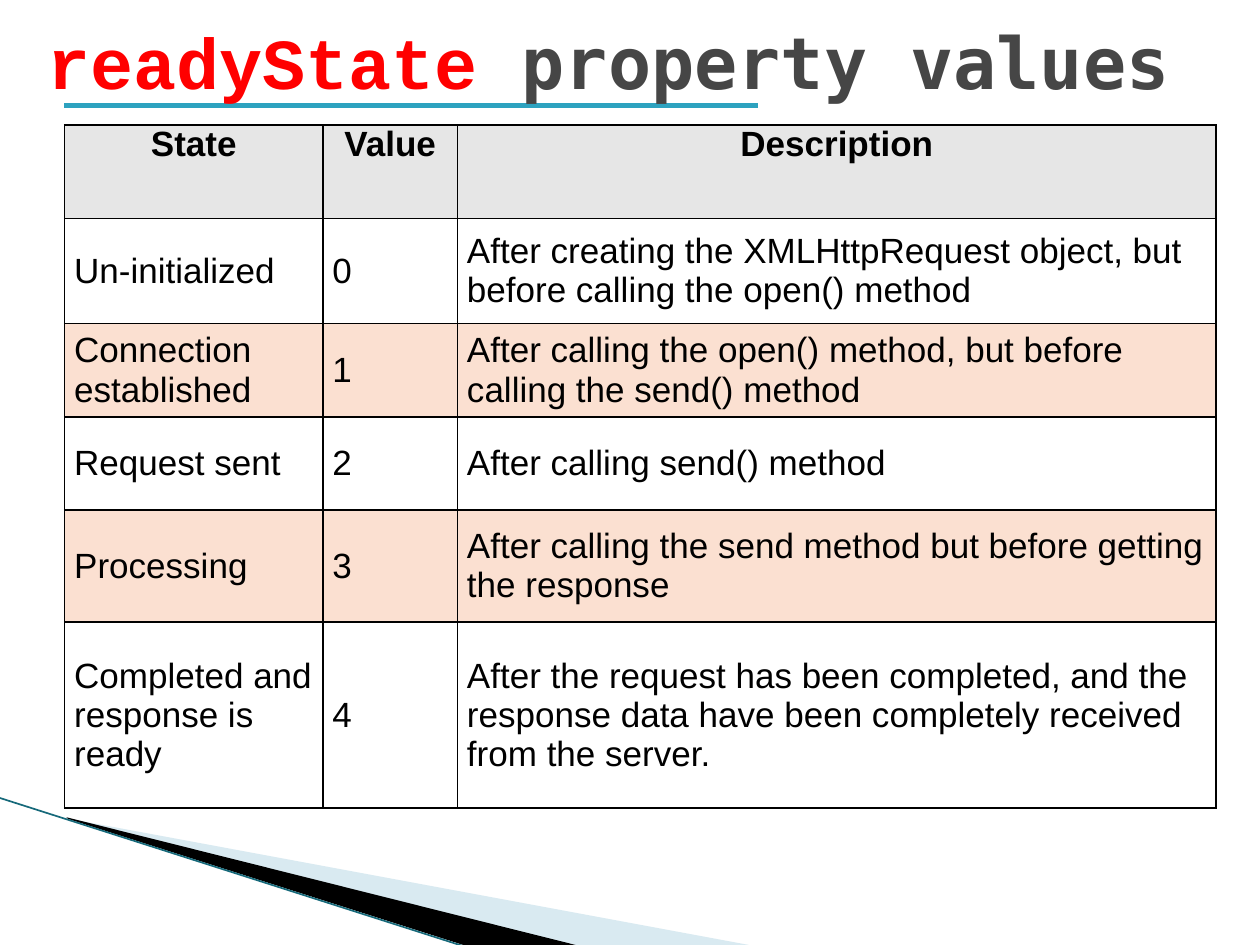
from pptx import Presentation, util as u
from pptx.dml.color import RGBColor
from pptx.enum import shapes as s, text as t
from pptx.oxml import parse_xml
from pptx.oxml.ns import nsdecls, qn
from lxml import etree

TITLE = [("readyState", "Courier New", "FF0000"),
         (" property values", "DejaVu Sans Mono", "464646")]
ROWS = [
    ("State", "Value", "Description"),
    ("Un-initialized", "0", "After creating the XMLHttpRequest object, but before calling the open() method"),
    ("Connection established", "1", "After calling the open() method, but before calling the send() method"),
    ("Request sent", "2", "After calling send() method"),
    ("Processing", "3", "After calling the send method but before getting the response"),
    ("Completed and response is ready", "4",
     "After the request has been completed, and the response data have been completely received from the server."),
]
WIDTHS = [147.5, 77, 433.5]
HEIGHTS = [53.3, 60.2, 53.3, 53.3, 63.8, 106.4]
WEDGES = [
    ([(39.6, 468.4), (428.4, 540.5), (328.3, 540.5), (39.6, 468)], "A0CBDC", 40),
    ([(38.2, 467.3), (329, 540.5), (267.8, 541.4), (38.9, 468)], "000000", 100),
]
LINES = [((-0.7, 455.8), (267.1, 541.4), "16697A", 0.95),
         ((36.7, 60.5), (433.4, 60.5), "2DA2BF", 3)]


def paint(item, tone):
    item.fill.solid()
    item.fill.fore_color.rgb = RGBColor.from_string(tone)


def style(font, name, size, tone, bold):
    font.name, font.size, font.bold = name, u.Pt(size), bold
    font.color.rgb = RGBColor.from_string(tone)


def wedge(slide, pts, tone, alpha):
    form = slide.shapes.build_freeform(*pts[0], scale=u.Pt(1))
    form.add_line_segments(pts[1:], close=True)
    shape = form.convert_to_shape()
    shape.shadow.inherit = False
    paint(shape, tone)
    shape.line.fill.background()
    if alpha < 100:
        clr = next(shape.element.spPr.iter(qn("a:srgbClr")))
        etree.SubElement(clr, qn("a:alpha"), val=str(alpha * 1000))


def rule(slide, start, end, tone, width):
    line = slide.shapes.add_connector(
        s.MSO_CONNECTOR.STRAIGHT, *[u.Pt(v) for v in start + end])
    line.line.color.rgb = RGBColor.from_string(tone)
    line.line.width = u.Pt(width)
    etree.SubElement(line.element.spPr, qn("a:effectLst"))


def border(cell):
    props = cell._tc.get_or_add_tcPr()
    for side in "LRTB":
        props.append(parse_xml(
            f'<a:ln{side} {nsdecls("a")} w="12700"><a:solidFill>'
            f'<a:srgbClr val="000000"/></a:solidFill></a:ln{side}>'))


def grid(slide):
    frame = slide.shapes.add_table(
        len(ROWS), len(WIDTHS), u.Pt(37), u.Pt(71.5),
        u.Pt(sum(WIDTHS)), u.Pt(sum(HEIGHTS)))
    table = frame.table
    table.first_row = table.horz_banding = False
    for col, width in zip(table.columns, WIDTHS):
        col.width = u.Pt(width)
    for r, (row, high) in enumerate(zip(ROWS, HEIGHTS)):
        table.rows[r].height = u.Pt(high)
        head = r == 0
        for c, words in enumerate(row):
            cell = table.cell(r, c)
            border(cell)
            if head or r % 2 == 0 and r < 5:
                paint(cell, "E6E6E6" if head else "FBE0D1")
            else:
                cell.fill.background()
            cell.margin_left = cell.margin_right = u.Pt(5.4)
            cell.margin_top = cell.margin_bottom = 0
            cell.vertical_anchor = t.MSO_ANCHOR.TOP if head else t.MSO_ANCHOR.MIDDLE
            cell.text = words
            para = cell.text_frame.paragraphs[0]
            para.alignment = t.PP_ALIGN.CENTER if head else t.PP_ALIGN.LEFT
            style(para.font, "Arial", 20, "000000", head)


def title(slide):
    box = slide.shapes.title
    box.left, box.top, box.width, box.height = [u.Pt(v) for v in (20, -2, 680.5, 73.5)]
    frame = box.text_frame
    frame.auto_size = t.MSO_AUTO_SIZE.NONE
    frame.word_wrap = True
    frame.vertical_anchor = t.MSO_ANCHOR.MIDDLE
    para = frame.paragraphs[0]
    para.alignment = t.PP_ALIGN.LEFT
    for words, face, tone in TITLE:
        run = para.add_run()
        run.text = words
        style(run.font, face, 41, tone, True)
    slide.shapes.element.append(box.element)


def main():
    deck = Presentation()
    deck.slide_width, deck.slide_height = u.Pt(720), u.Pt(540)
    slide = deck.slides.add_slide(deck.slide_layouts[5])
    for item in WEDGES:
        wedge(slide, *item)
    for item in LINES:
        rule(slide, *item)
    grid(slide)
    title(slide)
    deck.save("out.pptx")


if __name__ == "__main__":
    main()
